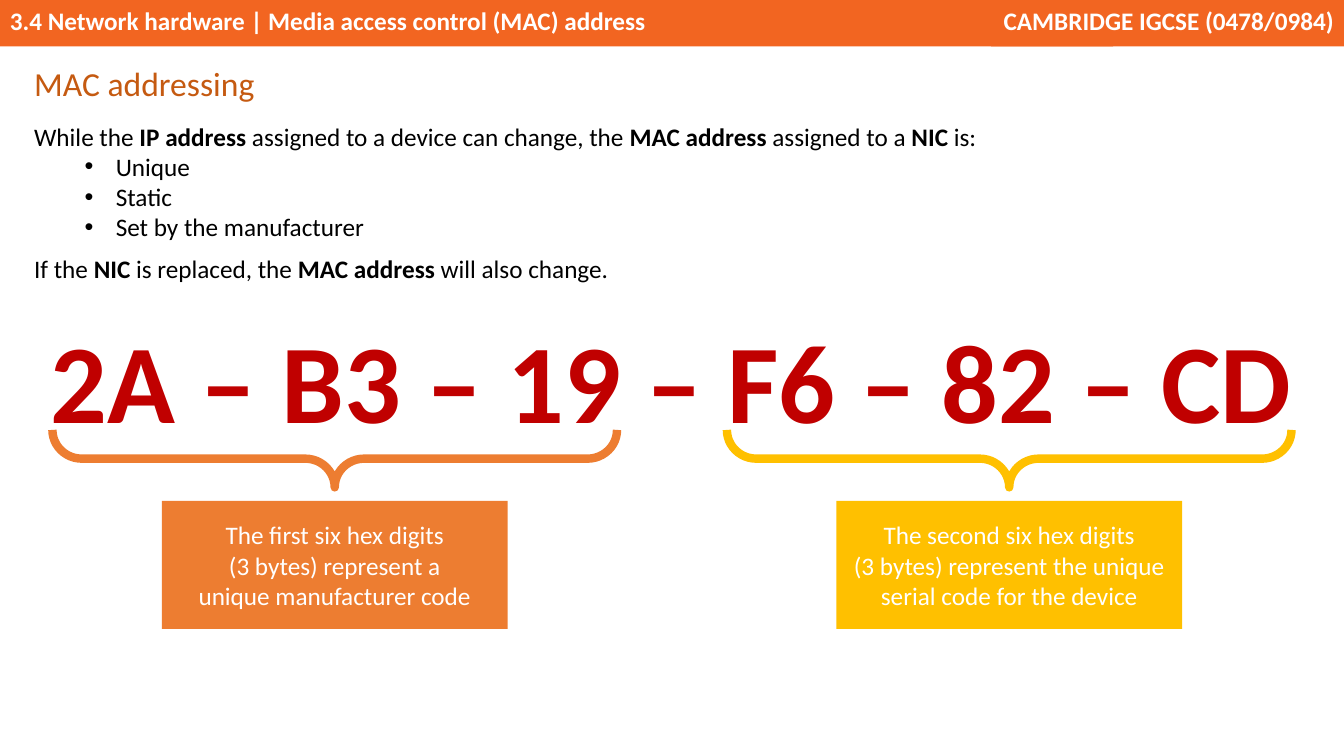
from dataclasses import dataclass

from lxml import etree
from pptx import Presentation
from pptx.dml.color import RGBColor
from pptx.enum.shapes import MSO_SHAPE
from pptx.enum.text import MSO_ANCHOR, PP_ALIGN
from pptx.oxml.ns import qn
from pptx.util import Inches, Pt

RECTANGLE = MSO_SHAPE.RECTANGLE
LEFT_BRACE = MSO_SHAPE.LEFT_BRACE
TOP, MIDDLE = MSO_ANCHOR.TOP, MSO_ANCHOR.MIDDLE
LEFT, CENTER, RIGHT = PP_ALIGN.LEFT, PP_ALIGN.CENTER, PP_ALIGN.RIGHT


@dataclass(frozen=True)
class Theme:
    font: str = "Calibri"
    banner: str = "F26521"
    heading: str = "C55A11"
    address: str = "C00000"
    manufacturer: str = "ED7D31"
    serial: str = "FFC000"
    dark: str = "000000"
    light: str = "FFFFFF"
    body_size: int = 18
    heading_size: int = 24
    address_size: int = 80
    brace_width: int = 6


THEME = Theme()
SLIDE_WIDTH = 13.33
BRACE_THICKNESS, BRACE_SPAN = 0.57, 5.6
LABEL_WIDTH, LABEL_HEIGHT = 3.43, 1.27


def colour(code):
    return RGBColor.from_string(code)


def add_run(paragraph, text, size, code, bold=False):
    run = paragraph.add_run()
    run.text = text
    run.font.name = THEME.font
    run.font.size = Pt(size)
    run.font.bold = bold
    run.font.color.rgb = colour(code)


def add_text_box(slide, left, top, width, height):
    box = slide.shapes.add_textbox(
        Inches(left), Inches(top), Inches(width), Inches(height))
    box.text_frame.word_wrap = True
    return box.text_frame


def add_panel(slide, left, top, width, height, fill, lines, align, anchor, bold=False):
    """Add a borderless filled rectangle with light text, broken by line."""
    panel = slide.shapes.add_shape(
        RECTANGLE, Inches(left), Inches(top), Inches(width), Inches(height))
    panel.shadow.inherit = False
    panel.fill.solid()
    panel.fill.fore_color.rgb = colour(fill)
    panel.line.fill.background()
    frame = panel.text_frame
    frame.word_wrap = True
    frame.vertical_anchor = anchor
    paragraph = frame.paragraphs[0]
    paragraph.alignment = align
    for index, line in enumerate(lines):
        if index:
            paragraph.add_line_break()
        add_run(paragraph, line, THEME.body_size, THEME.light, bold)


def add_mixed_runs(paragraph, parts):
    """Add body text in which every second part is bold."""
    for index, part in enumerate(parts):
        add_run(paragraph, part, THEME.body_size, THEME.dark, bold=index % 2 == 1)


def add_bullet(frame, text):
    paragraph = frame.add_paragraph()
    paragraph.level = 1
    properties = paragraph._p.get_or_add_pPr()
    properties.set("marL", str(Inches(0.81)))
    properties.set("indent", str(Inches(-0.31)))
    etree.SubElement(properties, qn("a:buFont")).set("typeface", "Arial")
    etree.SubElement(properties, qn("a:buChar")).set("char", "•")
    add_run(paragraph, text, THEME.body_size, THEME.dark)
    return paragraph


def add_banner(slide):
    add_panel(slide, 0, 0, 11.04, 0.46, THEME.banner,
              ["3.4 Network hardware | Media access control (MAC) address"],
              LEFT, TOP, bold=True)
    add_panel(slide, SLIDE_WIDTH - 3.5, 0, 3.5, 0.46, THEME.banner,
              ["CAMBRIDGE IGCSE (0478/0984)"], RIGHT, TOP, bold=True)


def add_heading(slide):
    heading = add_text_box(slide, 0.24, 0.55, 5.79, 0.51).paragraphs[0]
    heading.line_spacing = 1.07
    heading.space_after = Pt(8)
    add_run(heading, "MAC addressing", THEME.heading_size, THEME.heading)


def add_explanation(slide):
    frame = add_text_box(slide, 0.24, 1.15, 12.4, 1.73)
    add_mixed_runs(frame.paragraphs[0], [
        "While the ", "IP address", " assigned to a device can change, the ",
        "MAC address", " assigned to a ", "NIC", " is:"])
    for trait in ("Unique", "Static", "Set by the manufacturer"):
        last_bullet = add_bullet(frame, trait)
    last_bullet.space_after = Pt(8)
    add_mixed_runs(frame.add_paragraph(), [
        "If the ", "NIC", " is replaced, the ", "MAC address", " will also change."])


def add_address(slide):
    address = add_text_box(slide, 0, 3.04, SLIDE_WIDTH, 1.45).paragraphs[0]
    address.alignment = CENTER
    add_run(address, "2A – B3 – 19 – F6 – 82 – CD",
            THEME.address_size, THEME.address, bold=True)


def add_address_half(slide, centre, code, lines):
    """Add a downward brace and the label below it, both centred on one axis."""
    brace = slide.shapes.add_shape(
        LEFT_BRACE, Inches(centre - BRACE_THICKNESS / 2), Inches(1.75),
        Inches(BRACE_THICKNESS), Inches(BRACE_SPAN))
    brace.rotation = 270
    brace.adjustments[0] = 0.512
    brace.adjustments[1] = 0.5
    brace.shadow.inherit = False
    brace.fill.background()
    brace.line.color.rgb = colour(code)
    brace.line.width = Pt(THEME.brace_width)
    add_panel(slide, centre - LABEL_WIDTH / 2, 4.97, LABEL_WIDTH, LABEL_HEIGHT,
              code, lines, CENTER, MIDDLE)


def main():
    presentation = Presentation()
    presentation.slide_width = Inches(SLIDE_WIDTH)
    presentation.slide_height = Inches(7.5)
    slide = presentation.slides.add_slide(presentation.slide_layouts[6])
    add_banner(slide)
    add_explanation(slide)
    add_heading(slide)
    add_address(slide)
    add_address_half(slide, 3.32, THEME.manufacturer, [
        "The first six hex digits", "(3 bytes) represent a",
        "unique manufacturer code"])
    add_address_half(slide, 10.01, THEME.serial, [
        "The second six hex digits",
        "(3 bytes) represent the unique serial code for the device"])
    presentation.save("out.pptx")


if __name__ == "__main__":
    main()
